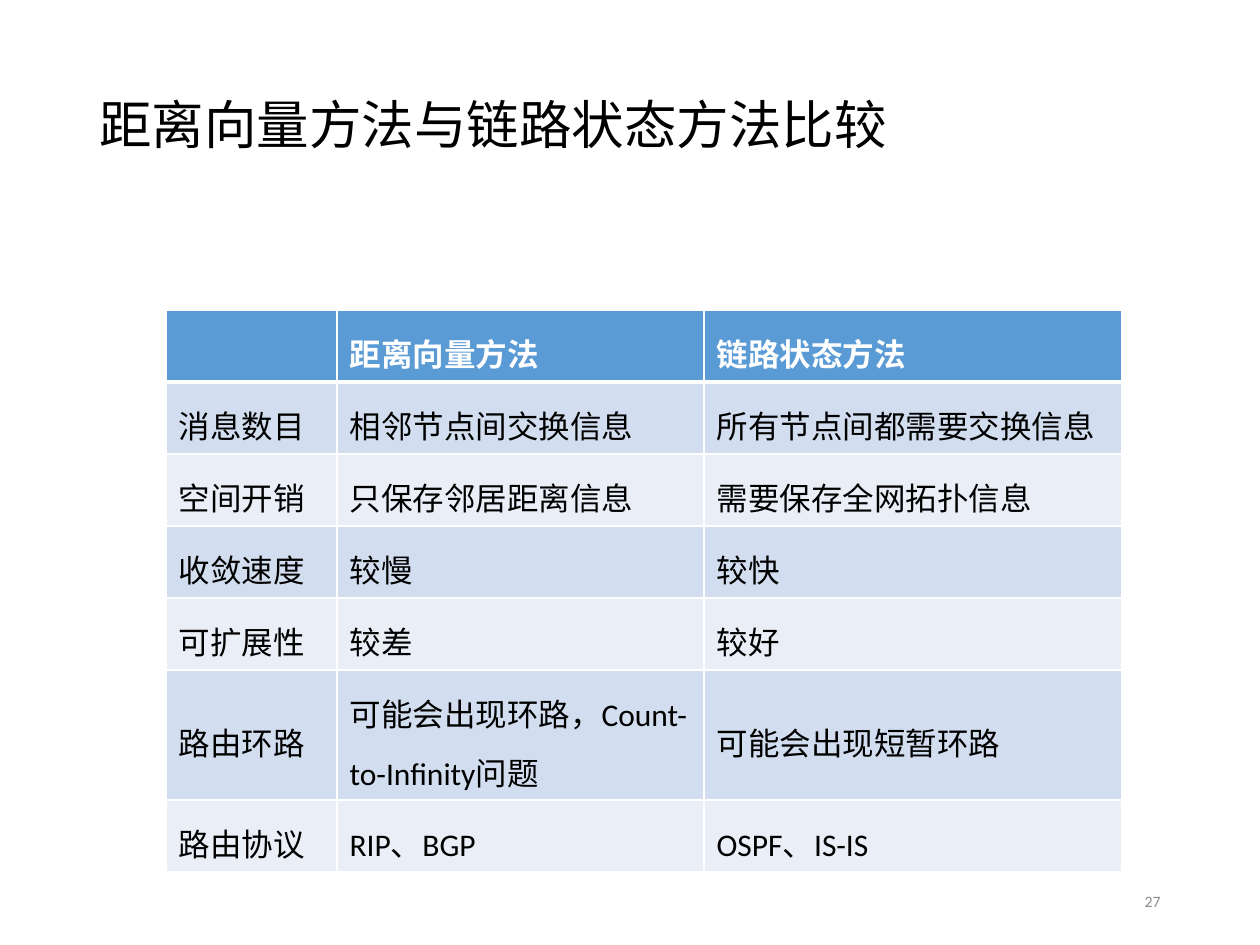
from lxml.etree import SubElement
from pptx import Presentation
from pptx.dml.color import RGBColor
from pptx.enum.text import MSO_ANCHOR, PP_ALIGN
from pptx.oxml.ns import qn
from pptx.util import Emu, Pt

SCALE = 914400 / 126
BLACK = RGBColor(0x00, 0x00, 0x00)
WHITE = RGBColor(0xFF, 0xFF, 0xFF)
GRAY = RGBColor(0x8C, 0x8C, 0x8C)
HEADER_BLUE = RGBColor(0x5B, 0x9B, 0xD5)
BANDS = [RGBColor(0xEA, 0xEF, 0xF7), RGBColor(0xD2, 0xDE, 0xEF)]


def px(length):
    return Emu(round(length * SCALE))


def write(frame, text, paragraph_format, font_format):
    frame.word_wrap = True
    para = frame.paragraphs[0]
    for name, value in paragraph_format.items():
        setattr(para, name, value)
    span = para.add_run()
    span.text = text
    color = font_format["color"]
    for name, value in font_format.items():
        if name != "color":
            setattr(span.font, name, value)
    span.font.name = "Calibri"
    span.font.color.rgb = color


deck = Presentation()
deck.slide_width, deck.slide_height = px(1260), px(945)
page = deck.slides.add_slide(deck.slide_layouts[6])

# Title and page number
labels = [
    ("距离向量方法与链路状态方法比较", (87, 50, 1086, 155),
     {"line_spacing": 0.9}, {"size": Pt(30), "color": BLACK}),
    ("27", (890, 876, 283, 50),
     {"alignment": PP_ALIGN.RIGHT}, {"size": Pt(9), "color": GRAY}),
]
for text, place, paragraph_format, font_format in labels:
    box = page.shapes.add_textbox(*map(px, place))
    box.text_frame.vertical_anchor = MSO_ANCHOR.MIDDLE
    write(box.text_frame, text, paragraph_format, font_format)

# Comparison table, with one row tall enough for two lines
rows = [
    ("", "距离向量方法", "链路状态方法"),
    ("消息数目", "相邻节点间交换信息", "所有节点间都需要交换信息"),
    ("空间开销", "只保存邻居距离信息", "需要保存全网拓扑信息"),
    ("收敛速度", "较慢", "较快"),
    ("可扩展性", "较差", "较好"),
    ("路由环路", "可能会出现环路，Count-to-Infinity问题", "可能会出现短暂环路"),
    ("路由协议", "RIP、BGP", "OSPF、IS-IS"),
]
widths = [171, 367, 418]
heights = [72] * 5 + [130, 72]
table = page.shapes.add_table(
    len(rows), len(widths), px(166), px(310), px(sum(widths)), px(sum(heights))
).table
for column, width in zip(table.columns, widths):
    column.width = px(width)

for row_index, texts in enumerate(rows):
    table.rows[row_index].height = px(heights[row_index])
    is_header = row_index == 0
    for column_index, text in enumerate(texts):
        cell = table.cell(row_index, column_index)
        cell.vertical_anchor = MSO_ANCHOR.MIDDLE

        # Borders, with a thick line under the header
        properties = cell._tc.get_or_add_tcPr()
        border_points = {"lnL": 1, "lnR": 1, "lnT": 3 if row_index == 1 else 1,
                         "lnB": 3 if is_header else 1}
        for side, points in border_points.items():
            line = SubElement(properties, qn("a:" + side), w=str(Pt(points)))
            SubElement(SubElement(line, qn("a:solidFill")), qn("a:srgbClr"), val=str(WHITE))

        cell.fill.solid()
        cell.fill.fore_color.rgb = HEADER_BLUE if is_header else BANDS[row_index % 2]
        write(cell.text_frame, text, {"line_spacing": 1.3},
              {"size": Pt(18), "bold": is_header, "color": WHITE if is_header else BLACK})

deck.save("out.pptx")
